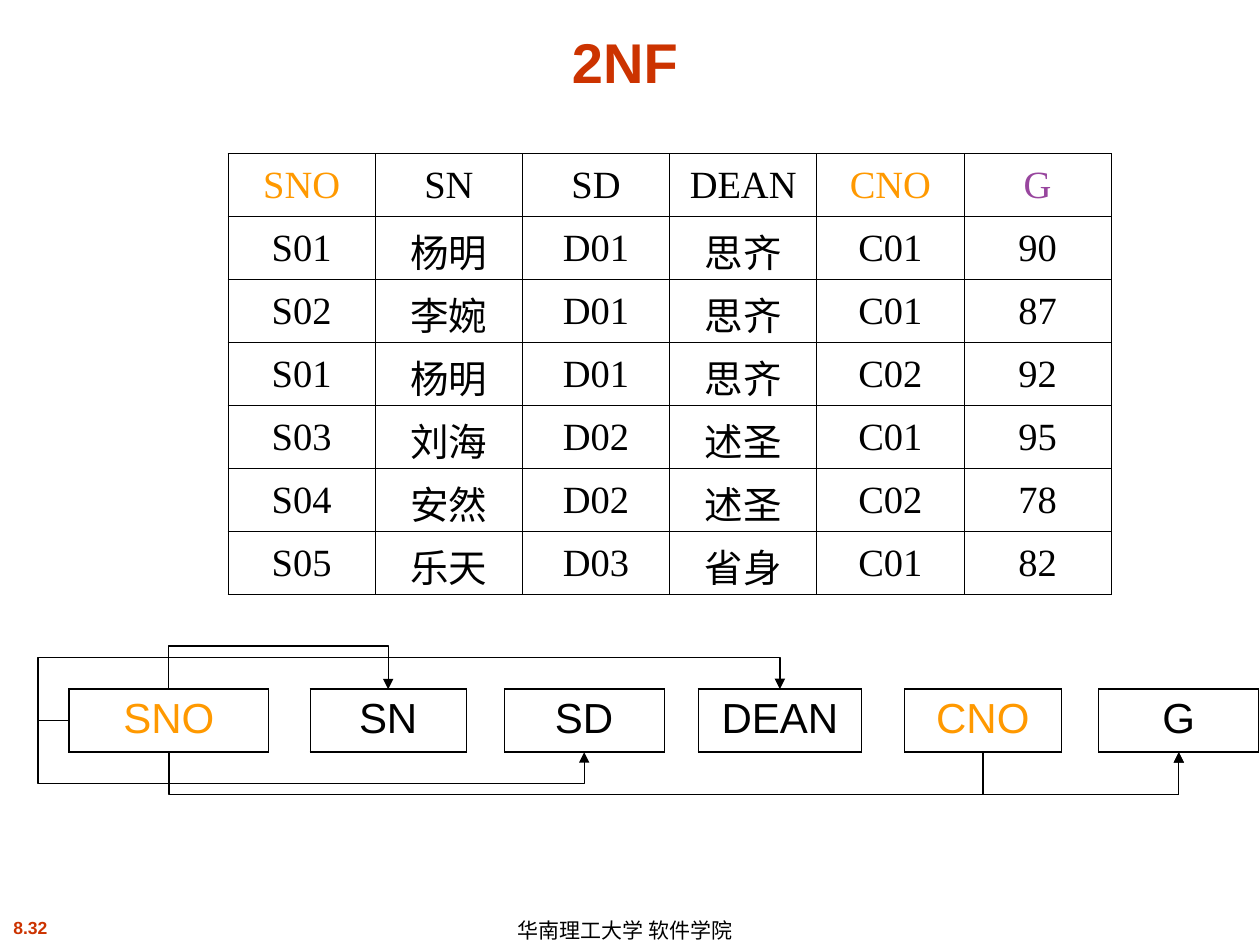
from dataclasses import dataclass

import lxml.etree
import pptx
import pptx.dml.color
import pptx.enum.shapes
import pptx.enum.text
import pptx.oxml
import pptx.oxml.ns
import pptx.util

Pt = pptx.util.Pt
qn = pptx.oxml.ns.qn
ALIGN = pptx.enum.text.PP_ALIGN
ANCHOR = pptx.enum.text.MSO_ANCHOR


@dataclass(frozen=True)
class Theme:
    """Colours, fonts, type sizes and line widths of the slide."""
    ink: str = "000000"
    red: str = "CC3300"
    key: str = "FF9900"
    grade: str = "98469E"
    sans: str = "Arial"
    serif: str = "Times New Roman"
    title: float = 32
    attribute: float = 24
    data: float = 22
    footer: float = 12
    number: float = 10
    thin: float = 0.45
    thick: float = 1.08
    arrow: float = 0.75


T = Theme()
ATTRIBUTES = ["SNO", "SN", "SD", "DEAN", "CNO", "G"]
RECORDS = [
    ["S01", "杨明", "D01", "思齐", "C01", "90"],
    ["S02", "李婉", "D01", "思齐", "C01", "87"],
    ["S01", "杨明", "D01", "思齐", "C02", "92"],
    ["S03", "刘海", "D02", "述圣", "C01", "95"],
    ["S04", "安然", "D02", "述圣", "C02", "78"],
    ["S05", "乐天", "D03", "省身", "C01", "82"],
]
KEY_COLOURS = {"SNO": T.key, "CNO": T.key}
BOX_WIDTHS = [113.8, 89.3, 91.4, 93.6, 89.3, 91.4]
GAP_WIDTHS = [23.8, 21.6, 19.4, 24.5, 21.6]


def set_attrs(obj, values):
    """Set each attribute of obj named in values."""
    for name, value in values.items():
        setattr(obj, name, value)


def write(tf, text, size, font, colour, bold=False, **para):
    """Write one formatted line into a text frame."""
    p = tf.paragraphs[0]
    set_attrs(p, {"alignment": ALIGN.CENTER, **para})
    r = p.add_run()
    r.text = text
    set_attrs(r.font, {"size": Pt(size), "name": font, "bold": bold})
    r.font.color.rgb = pptx.dml.color.RGBColor.from_string(colour)


def add_label(s, box, text, anchor, *style, **para):
    """Place a line of text in a box."""
    tf = s.shapes.add_textbox(*map(Pt, box)).text_frame
    set_attrs(tf, {"word_wrap": True, "vertical_anchor": anchor})
    write(tf, text, *style, **para)


def rule_cell(cell, **widths):
    """Clear a cell's fill and draw the sides given as L, R, T or B widths."""
    tcPr = cell._tc.get_or_add_tcPr()
    for side in "LRTB":
        width = widths.get(side, 0)
        ln = lxml.etree.SubElement(tcPr, qn(f"a:ln{side}"), w=str(int(Pt(width))))
        if width:
            fill = lxml.etree.SubElement(ln, qn("a:solidFill"))
            lxml.etree.SubElement(fill, qn("a:srgbClr"), val=T.ink)
        else:
            lxml.etree.SubElement(ln, qn("a:noFill"))
    cell.fill.background()


def add_grid(s, box, rows, widths):
    """Place a plain table with the given column widths."""
    table = s.shapes.add_table(rows, len(widths), *map(Pt, box)).table
    set_attrs(table, {"first_row": False, "horz_banding": False})
    for column, width in zip(table.columns, widths):
        column.width = Pt(width)
    return table


def add_records(s, box):
    """Place the table of student records in a box."""
    rows = [ATTRIBUTES, *RECORDS]
    count = len(ATTRIBUTES)
    table = add_grid(s, box, len(rows), [box[2] / count] * count)
    colours = {**KEY_COLOURS, "G": T.grade}
    for i, row in enumerate(rows):
        for j, text in enumerate(row):
            cell = table.cell(i, j)
            rule_cell(cell, **dict.fromkeys("LRTB", T.thin))
            cell.vertical_anchor = ANCHOR.MIDDLE
            write(cell.text_frame, text, T.data, T.serif, colours.get(text, T.ink))


def add_elbow(s, box, preset, adjusts, **xfrm):
    """Place a bent arrow with its turns, flips and adjustments."""
    x, y, w, h = box
    sp = s.shapes.add_connector(pptx.enum.shapes.MSO_CONNECTOR.ELBOW,
                                *map(Pt, (x, y, x + w, y + h)))
    sp.line.width = Pt(T.arrow)
    sp.line.color.rgb = pptx.dml.color.RGBColor.from_string(T.ink)
    spPr = sp._element.spPr
    for name, value in xfrm.items():
        spPr.find(qn("a:xfrm")).set(name, value)
    geom = spPr.find(qn("a:prstGeom"))
    geom.set("prst", preset)
    guides = geom.find(qn("a:avLst"))
    for i, value in enumerate(adjusts, 1):
        lxml.etree.SubElement(guides, qn("a:gd"), name=f"adj{i}",
                              fmla=f"val {round(value * 100000)}")
    lxml.etree.SubElement(spPr.find(qn("a:ln")), qn("a:tailEnd"), type="triangle")
    lxml.etree.SubElement(spPr, qn("a:effectLst"))


def add_bracket(s, x1, x2, y, reach):
    """Join two points at one height by an arrow that runs reach below them."""
    span, depth = x2 - x1, 0.17
    box = ((x1 + x2 - depth) / 2, y - span / 2, depth, span)
    add_elbow(s, box, "bentConnector3", [reach / depth], rot="16200000", flipH="1")


def add_hook(s, x1, x2, y, rise, **flips):
    """Lead an arrow out to the left of x1 and round to x2."""
    out = 18
    box = (x1, min(y, y + rise), x2 - x1, abs(rise))
    add_elbow(s, box, "bentConnector4", [-out / (x2 - x1), 2],
              rot="10800000", flipH="1", **flips)


def add_dependencies(s, box):
    """Place the row of attribute boxes and the arrows between them."""
    left, top, _, height = box
    widths = [w for pair in zip(BOX_WIDTHS, GAP_WIDTHS) for w in pair] + BOX_WIDTHS[-1:]
    table = add_grid(s, box, 1, widths)
    last = len(widths) - 1
    centre = {}
    for j, width in enumerate(widths):
        cell = table.cell(0, j)
        if j % 2:
            rule_cell(cell, L=T.thin, R=T.thin)
            continue
        rule_cell(cell, L=T.thin if j else T.thick, T=T.thick, B=T.thick,
                  R=T.thick if j == last else T.thin)
        name = ATTRIBUTES[j // 2]
        write(cell.text_frame, name, T.attribute, T.sans, KEY_COLOURS.get(name, T.ink))
        centre[name] = left + sum(widths[:j]) + width / 2
    bottom, middle = top + height, top + height / 2
    add_bracket(s, centre["SNO"], centre["SN"], top, -24.5)
    for name in ("SNO", "CNO"):
        add_bracket(s, centre[name], centre["G"], bottom, 24.3)
    add_hook(s, left, centre["SD"], middle, height / 2, flipV="1")
    add_hook(s, left, centre["DEAN"], middle, -height / 2, flipV="0")


def main():
    """Build the slide and save it."""
    prs = pptx.Presentation()
    set_attrs(prs, {"slide_width": Pt(720), "slide_height": Pt(540)})
    s = prs.slides.add_slide(prs.slide_layouts[6])
    add_label(s, (-18, 520.6, 70.6, 19.4), "8.32", ANCHOR.TOP,
              T.number, T.sans, T.red, True)
    add_label(s, (288.7, 522, 161.3, 18), "华南理工大学 软件学院", ANCHOR.MIDDLE,
              T.footer, T.sans, T.ink, alignment=ALIGN.LEFT, line_spacing=1.1)
    add_label(s, (18, 9.4, 678.2, 48.2), "2NF", ANCHOR.BOTTOM,
              T.title, T.sans, T.red, True)
    add_records(s, (130.3, 87.8, 504.7, 252))
    add_dependencies(s, (39.6, 393.8, 680.4, 36))
    prs.save("out.pptx")


if __name__ == "__main__":
    main()
